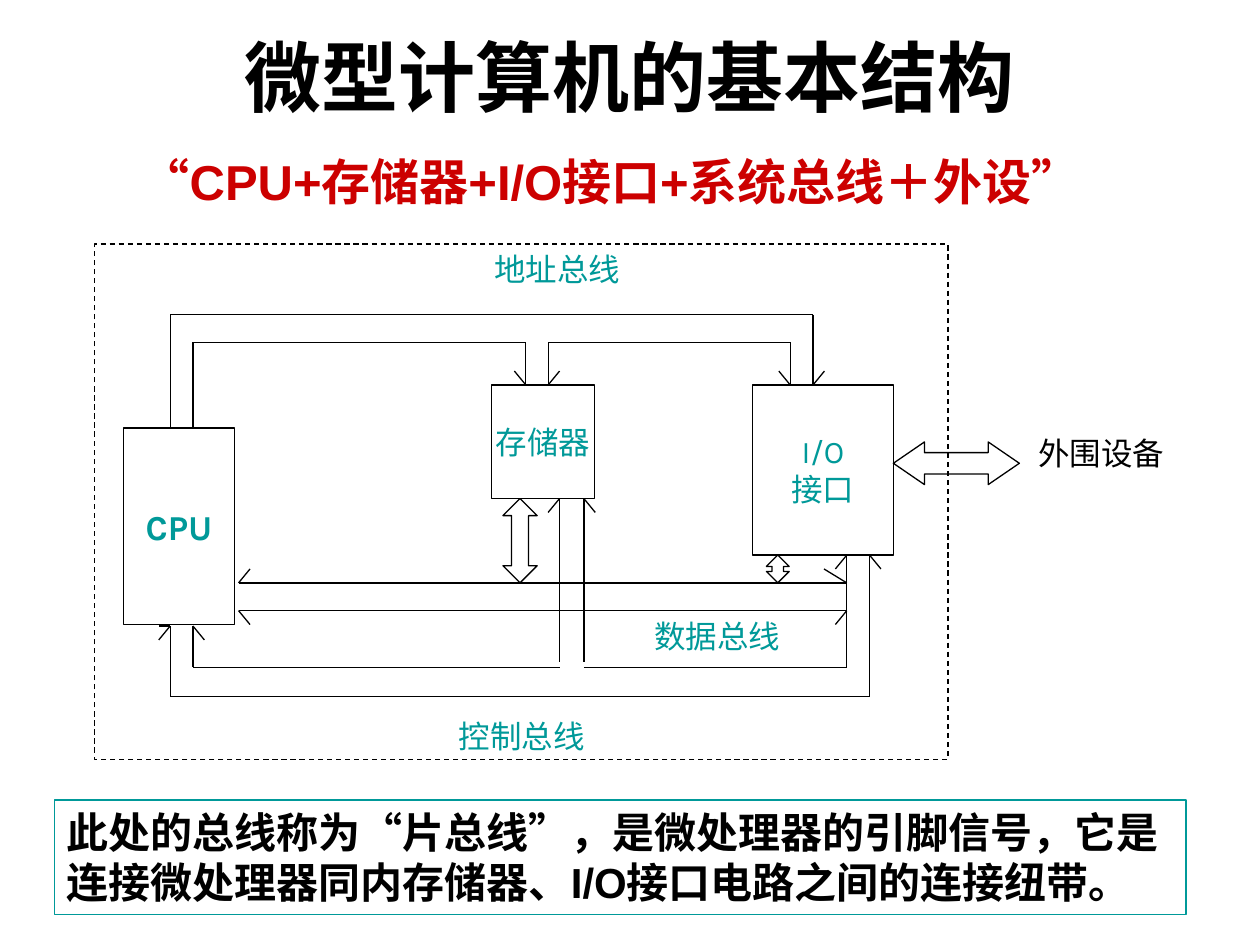
from itertools import pairwise

from lxml.etree import SubElement
from pptx import Presentation
from pptx.dml.color import RGBColor
from pptx.enum.dml import MSO_LINE
from pptx.enum.lang import MSO_LANGUAGE_ID
from pptx.enum.shapes import MSO_CONNECTOR, MSO_SHAPE
from pptx.enum.text import MSO_ANCHOR, PP_ALIGN
from pptx.oxml.ns import qn
from pptx.util import Cm, Pt

BLACK, TEAL, RED = "000000", "009999", "CC0000"


def color(value):
    return RGBColor.from_string(value)


def add_text(sp, *lines, size=18, font="Karla", fill=TEAL, bold=False, align=PP_ALIGN.CENTER,
             anchor=MSO_ANCHOR.TOP, wrap=True, before=0, indent=0):
    tf = sp.text_frame
    tf.word_wrap = wrap
    tf.vertical_anchor = anchor
    for i, line in enumerate(lines):
        p = tf.add_paragraph() if i else tf.paragraphs[0]
        p.alignment = align
        p.space_before = Pt(before)
        if indent:
            p._p.get_or_add_pPr().set("marL", str(Cm(indent)))
        for text, face in [(line, font)] if isinstance(line, str) else line:
            r = p.add_run()
            r.text = text
            r.font.size, r.font.name, r.font.bold = Pt(size), face, bold
            r.font.color.rgb = color(fill)
            r.font.language_id = MSO_LANGUAGE_ID.SIMPLIFIED_CHINESE


def add_box(s, x, y, w, h):
    return s.shapes.add_textbox(Cm(x), Cm(y), Cm(w), Cm(h))


def add_outline(s, kind, x, y, w, h, line=BLACK, adjustments=()):
    sp = s.shapes.add_shape(kind, Cm(x), Cm(y), Cm(w), Cm(h))
    sp.shadow.inherit = False
    sp.fill.background()
    sp.line.color.rgb = color(line)
    sp.line.width = Pt(0.75)
    for i, value in enumerate(adjustments):
        sp.adjustments[i] = value
    return sp


def add_polyline(s, x, y, points):
    for (x1, y1), (x2, y2) in pairwise(points):
        c = s.shapes.add_connector(MSO_CONNECTOR.STRAIGHT, Cm(x + x1), Cm(y + y1),
                                   Cm(x + x2), Cm(y + y2))
        c.line.color.rgb = color(BLACK)
        c.line.width = Pt(0.75)
        SubElement(c._element.spPr, qn("a:effectLst"))


def add_heading(s, x, y, w):
    add_text(add_box(s, x, y, w, 2), "微型计算机的基本结构", size=44, font="Arial",
             fill=BLACK, bold=True, anchor=MSO_ANCHOR.MIDDLE)
    formula = [("“", "Karla"), ("CPU+存储器+I/O接口+系统总线＋外设", "Arial"), ("”", "Karla")]
    add_text(add_box(s, x, y + 2.39, w, 15.01), formula, size=28, fill=RED, bold=True,
             align=PP_ALIGN.LEFT, before=5.6, indent=1.9)


def add_buses(s, x, y):
    address = [
        [(1.52, 3.71), (1.52, 1.42), (14.48, 1.42), (14.48, 2.84)],
        [(1.98, 3.71), (1.98, 1.98), (8.69, 1.98), (8.69, 2.84)],
        [(9.14, 2.84), (9.14, 1.98), (14.02, 1.98), (14.02, 2.84)],
    ]
    data = [[(2.9, row), (15.16, row)] for row in (6.83, 7.39)]
    control = [
        [(1.52, 7.7), (1.52, 9.12), (15.62, 9.12), (15.62, 6.27)],
        [(1.98, 7.7), (1.98, 8.53), (9.37, 8.53)],
        [(9.86, 8.53), (15.16, 8.53), (15.16, 6.27)],
        [(9.37, 5.13), (9.37, 8.43)],
        [(9.86, 5.13), (9.86, 8.43)],
        [(1.52, 7.7), (1.29, 7.7)],
    ]
    for points in address + data + control:
        add_polyline(s, x, y, points)

    dx, dy = 0.23, 0.28
    pairs = [(8.69, 9.14, 2.84, -dy), (14.02, 14.48, 2.84, -dy), (9.37, 9.86, 5.13, dy),
             (15.16, 15.62, 6.27, dy), (1.52, 1.98, 7.7, dy)]
    for left, right, tip, rise in pairs:
        for column, run in ((left, -dx), (right, dx)):
            add_polyline(s, x, y, [(column, tip), (column + run, tip + rise)])
    for column, tip, run, rise in [(2.9, 6.83, dx, -dy), (2.9, 7.39, dx, dy),
                                   (15.16, 6.83, -2 * dx, -dy), (15.16, 7.39, -dx, dy)]:
        add_polyline(s, x, y, [(column, tip), (column + run, tip + rise)])


def add_diagram(s, x, y, w, h):
    add_buses(s, x, y)
    units = [(0.58, 3.71, 2.24, 3.96, ["CPU"], 20, True),
             (8, 2.84, 2.08, 2.29, ["存储器"], 18, False),
             (13.26, 2.84, 2.84, 3.43, ["I/O", "接口"], 18, False)]
    for left, top, width, height, lines, size, bold in units:
        sp = add_outline(s, MSO_SHAPE.RECTANGLE, x + left, y + top, width, height)
        add_text(sp, *lines, size=size, bold=bold, anchor=MSO_ANCHOR.MIDDLE, wrap=False)

    arrows = [(MSO_SHAPE.UP_DOWN_ARROW, 8.23, 5.13, 0.69, 1.7, (0.4, 0.5)),
              (MSO_SHAPE.UP_DOWN_ARROW, 13.54, 6.27, 0.46, 0.56, (0.2, 0.5)),
              (MSO_SHAPE.LEFT_RIGHT_ARROW, 16.1, 3.99, 2.54, 0.86, (0.5, 0.73))]
    arrows[:2] = [(*arrow[:5], arrow[5][::-1]) for arrow in arrows[:2]]
    for kind, left, top, width, height, adjustments in arrows:
        sp = add_outline(s, kind, x + left, y + top, width, height)
        order = reversed(adjustments) if kind == MSO_SHAPE.UP_DOWN_ARROW else adjustments
        for i, value in enumerate(order):
            sp.adjustments[i] = value

    for left, top, label in [(7.54, 0, "地址总线"), (10.77, 7.39, "数据总线"),
                             (6.83, 9.4, "控制总线")]:
        add_text(add_box(s, x + left, y + top, 3.56, 1.02), label)
    add_text(add_box(s, x + 18.77, y + 3.71, 3.05, 1.02), "外围设备", fill=BLACK, wrap=False)

    frame = add_outline(s, MSO_SHAPE.RECTANGLE, x, y, w, h)
    frame.line.dash_style = MSO_LINE.DASH


def add_note(s, x, y, w, h):
    sp = add_outline(s, MSO_SHAPE.RECTANGLE, x, y, w, h, line=TEAL)
    add_text(sp, "此处的总线称为“片总线”，是微处理器的引脚信号，它是"
             "连接微处理器同内存储器、I/O接口电路之间的连接纽带。",
             size=24, font="Arial", fill=BLACK, bold=True, align=PP_ALIGN.LEFT)


def main():
    prs = Presentation()
    prs.slide_width, prs.slide_height = Cm(25.4), Cm(19.05)
    s = prs.slides.add_slide(prs.slide_layouts[6])
    add_heading(s, 0.69, 0.53, 24)
    add_diagram(s, 1.91, 4.92, 17.2, 10.39)
    add_note(s, 1.1, 16.13, 22.81, 2.31)
    prs.save("out.pptx")


if __name__ == "__main__":
    main()
